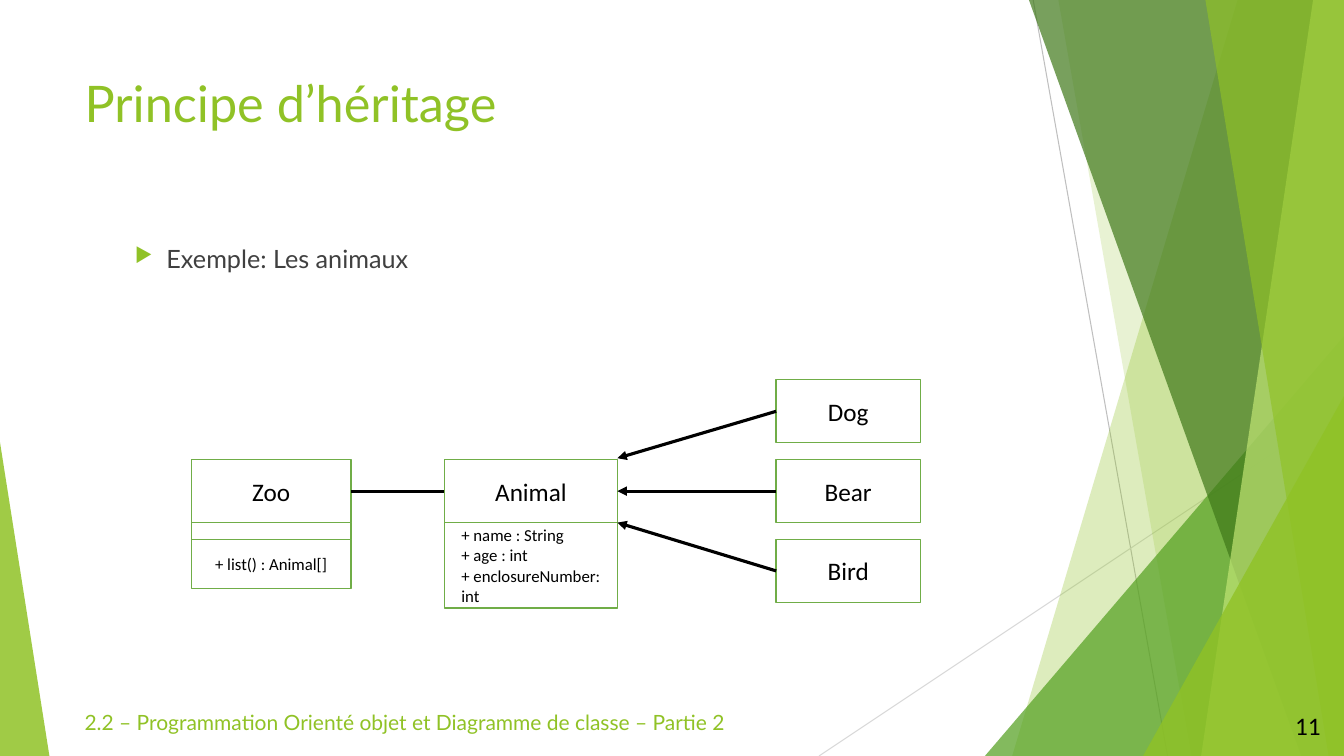
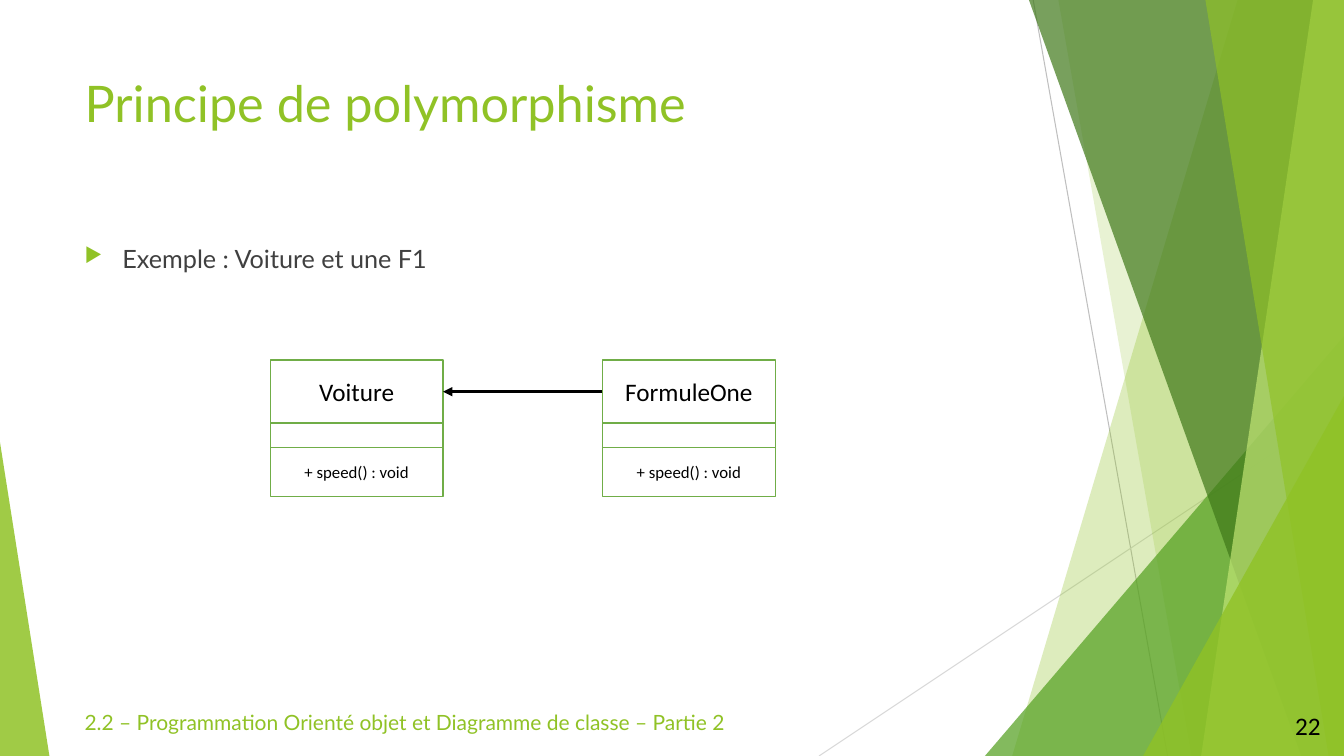
from lxml.etree import SubElement
from pptx import Presentation
from pptx.dml.color import RGBColor
from pptx.enum.shapes import MSO_CONNECTOR, MSO_SHAPE
from pptx.enum.text import MSO_ANCHOR, PP_ALIGN
from pptx.oxml.ns import qn
from pptx.util import Pt

WIDTH, HEIGHT = 960, 540
LIME = RGBColor(0x90, 0xC2, 0x26)
GREEN = RGBColor(0x54, 0xA0, 0x21)
FOREST = RGBColor(0x3F, 0x78, 0x19)
PALE_LIME = RGBColor(0xC0, 0xE4, 0x74)
BOX_LINE = RGBColor(0x70, 0xAD, 0x47)
BODY_TEXT = RGBColor(0x40, 0x40, 0x40)
GRAY = RGBColor(0xBF, 0xBF, 0xBF)
LIGHT_GRAY = RGBColor(0xD9, 0xD9, 0xD9)
BLACK = RGBColor(0, 0, 0)
WHITE = RGBColor(0xFF, 0xFF, 0xFF)
HEADING_FONT = "Lato"
DIAGRAM_FONT = "Calibri"

FOOTER = "2.2 – Programmation Orienté objet et Diagramme de classe – Partie 2"
LEFT = 53.3
CONTENT_WIDTH = 677
FOOTER_TOP = 503.3
HEADER_HEIGHT = 45
METHOD_HEIGHT = 35

RAYS = [
    (((738, 0), (834, HEIGHT)), GRAY),
    (((WIDTH, 290), (585, HEIGHT)), LIGHT_GRAY),
]
FACETS = [
    (((884, 0), (WIDTH, 0), (WIDTH, HEIGHT), (723, HEIGHT)), LIME, 30),
    (((756, 0), (WIDTH, 0), (WIDTH, HEIGHT), (851, HEIGHT)), LIME, 20),
    (((703.5, HEIGHT), (WIDTH, 240), (WIDTH, HEIGHT)), GREEN, 72),
    (((735, 0), (WIDTH, 0), (WIDTH, HEIGHT), (929.5, HEIGHT)), FOREST, 70),
    (((938, 0), (WIDTH, 0), (WIDTH, HEIGHT), (858, HEIGHT)), PALE_LIME, 70),
    (((861, 0), (WIDTH, 0), (WIDTH, HEIGHT), (949, HEIGHT)), LIME, 65),
    (((816.5, HEIGHT), (WIDTH, 283), (WIDTH, HEIGHT)), LIME, 80),
    (((0, HEIGHT), (0, 316), (35.3, HEIGHT)), LIME, 85),
]


def style_paragraph(paragraph, font_name, size, color, align=PP_ALIGN.LEFT):
    paragraph.alignment = align
    paragraph.font.name = font_name
    paragraph.font.size = Pt(size)
    paragraph.font.color.rgb = color


def add_line(slide, start, end, color, width):
    ends = [Pt(value) for value in (*start, *end)]
    connector = slide.shapes.add_connector(MSO_CONNECTOR.STRAIGHT, *ends)
    connector.line.color.rgb = color
    connector.line.width = Pt(width)
    SubElement(connector._element.spPr, qn("a:effectLst"))
    return connector


def add_facet(slide, points, color, opacity):
    start, *others = [(Pt(x), Pt(y)) for x, y in points]
    builder = slide.shapes.build_freeform(*start)
    builder.add_line_segments(others, close=True)
    shape = builder.convert_to_shape()
    shape.shadow.inherit = False
    shape.fill.solid()
    shape.fill.fore_color.rgb = color
    shape.line.fill.background()
    color_element = shape._element.spPr.find(".//" + qn("a:srgbClr"))
    SubElement(color_element, qn("a:alpha"), val=str(opacity * 1000))


def add_text(slide, box, text, font_name, size, color,
             align=PP_ALIGN.LEFT, anchor=MSO_ANCHOR.TOP):
    shape = slide.shapes.add_textbox(*[Pt(value) for value in box])
    frame = shape.text_frame
    frame.word_wrap = True
    frame.vertical_anchor = anchor
    frame.text = text
    style_paragraph(frame.paragraphs[0], font_name, size, color, align)
    return frame.paragraphs[0]


def add_bullet(slide, box, text, margin, hanging):
    paragraph = add_text(slide, box, text, HEADING_FONT, 18, BODY_TEXT)
    paragraph.space_before = Pt(10)
    properties = paragraph._p.get_or_add_pPr()
    properties.set("marL", str(Pt(margin)))
    properties.set("indent", str(-Pt(hanging)))
    bullet_color = SubElement(properties, qn("a:buClr"))
    SubElement(bullet_color, qn("a:srgbClr"), val=str(LIME))
    SubElement(properties, qn("a:buSzPct"), val="80000")
    SubElement(properties, qn("a:buChar"), char="▶")


def add_content_slide(presentation, title, number, bullet, margin, hanging):
    slide = presentation.slides.add_slide(presentation.slide_layouts[6])
    for (start, end), color in RAYS:
        add_line(slide, start, end, color, 0.75)
    for points, color, opacity in FACETS:
        add_facet(slide, points, color, opacity)
    add_text(slide, (LEFT, 48, CONTENT_WIDTH, 104), title, HEADING_FONT, 36, LIME)
    add_bullet(slide, (LEFT, 170, CONTENT_WIDTH, 30), bullet, margin, hanging)
    add_text(slide, (LEFT, FOOTER_TOP, 527, 29), FOOTER, HEADING_FONT, 15, LIME)
    add_text(slide, (896.4, FOOTER_TOP, 54, 29), number, DIAGRAM_FONT, 18, BLACK,
             PP_ALIGN.RIGHT, MSO_ANCHOR.MIDDLE)
    return slide


def add_compartment(slide, box, lines, size, align):
    shape = slide.shapes.add_shape(MSO_SHAPE.RECTANGLE, *[Pt(value) for value in box])
    shape.shadow.inherit = False
    shape.fill.solid()
    shape.fill.fore_color.rgb = WHITE
    shape.line.color.rgb = BOX_LINE
    shape.line.width = Pt(1)
    if lines:
        frame = shape.text_frame
        frame.word_wrap = True
        frame.vertical_anchor = MSO_ANCHOR.MIDDLE
        frame.margin_top = frame.margin_bottom = 0
        frame.margin_left = Pt(12 if align == PP_ALIGN.LEFT else 7.2)
        frame.text = "\n".join(lines)
        for paragraph in frame.paragraphs:
            style_paragraph(paragraph, DIAGRAM_FONT, size, BLACK, align)
    return shape


def add_class(slide, left, top, width, name, sections=()):
    header = add_compartment(slide, (left, top, width, HEADER_HEIGHT), [name],
                             18, PP_ALIGN.CENTER)
    top += HEADER_HEIGHT
    for height, lines, align in sections:
        add_compartment(slide, (left, top, width, height), lines, 12, align)
        top += height
    return header


def method_sections(gap, method):
    return [(gap, [], PP_ALIGN.CENTER), (METHOD_HEIGHT, [method], PP_ALIGN.CENTER)]


def add_link(slide, source, source_side, target, target_side=None,
             target_point=(0, 0), arrow=True):
    connector = add_line(slide, (0, 0), target_point, BLACK, 2.25)
    connector.begin_connect(source, source_side)
    if target_side is not None:
        connector.end_connect(target, target_side)
    if arrow:
        line = connector._element.spPr.find(qn("a:ln"))
        SubElement(line, qn("a:tailEnd"), type="triangle")


def add_inheritance_diagram(slide, left, top):
    row_pitch = 57
    parent_top = top + row_pitch
    parent_left, parent_width = left + 180.7, 123.5
    parent_right = parent_left + parent_width
    attributes = ["+ name : String", "+ age : int", "+ enclosureNumber: int"]
    animal = add_class(slide, parent_left, parent_top, parent_width, "Animal",
                       [(61, attributes, PP_ALIGN.LEFT)])
    zoo = add_class(slide, left, parent_top, 113.8, "Zoo",
                    method_sections(12, "+ list() : Animal[]"))
    add_link(slide, zoo, 3, animal, 1, arrow=False)
    arrivals = [
        ("Dog", None, (parent_right, parent_top - 1)),
        ("Bear", 3, (0, 0)),
        ("Bird", None, (parent_right, parent_top + HEADER_HEIGHT)),
    ]
    for row, (name, side, point) in enumerate(arrivals):
        child = add_class(slide, left + 417.6, top + row * row_pitch, 103, name)
        add_link(slide, child, 1, animal, side, point)


def add_polymorphism_diagram(slide, left, top):
    pitch = 237.3
    parent, child = [
        add_class(slide, left + column * pitch, top, 123.5, name,
                  method_sections(17.3, "+ speed() : void"))
        for column, name in enumerate(("Voiture", "FormuleOne"))
    ]
    add_link(slide, child, 1, parent, 3)


def main():
    presentation = Presentation()
    presentation.slide_width = Pt(WIDTH)
    presentation.slide_height = Pt(HEIGHT)
    slide = add_content_slide(presentation, "Principe d’héritage", "11",
                              "Exemple: Les animaux", 58.5, 22.5)
    add_inheritance_diagram(slide, 136.8, 271.3)
    slide = add_content_slide(presentation, "Principe de polymorphisme", "22",
                              "Exemple : Voiture et une F1", 27, 27)
    add_polymorphism_diagram(slide, 193, 257.3)
    presentation.save("out.pptx")


if __name__ == "__main__":
    main()
